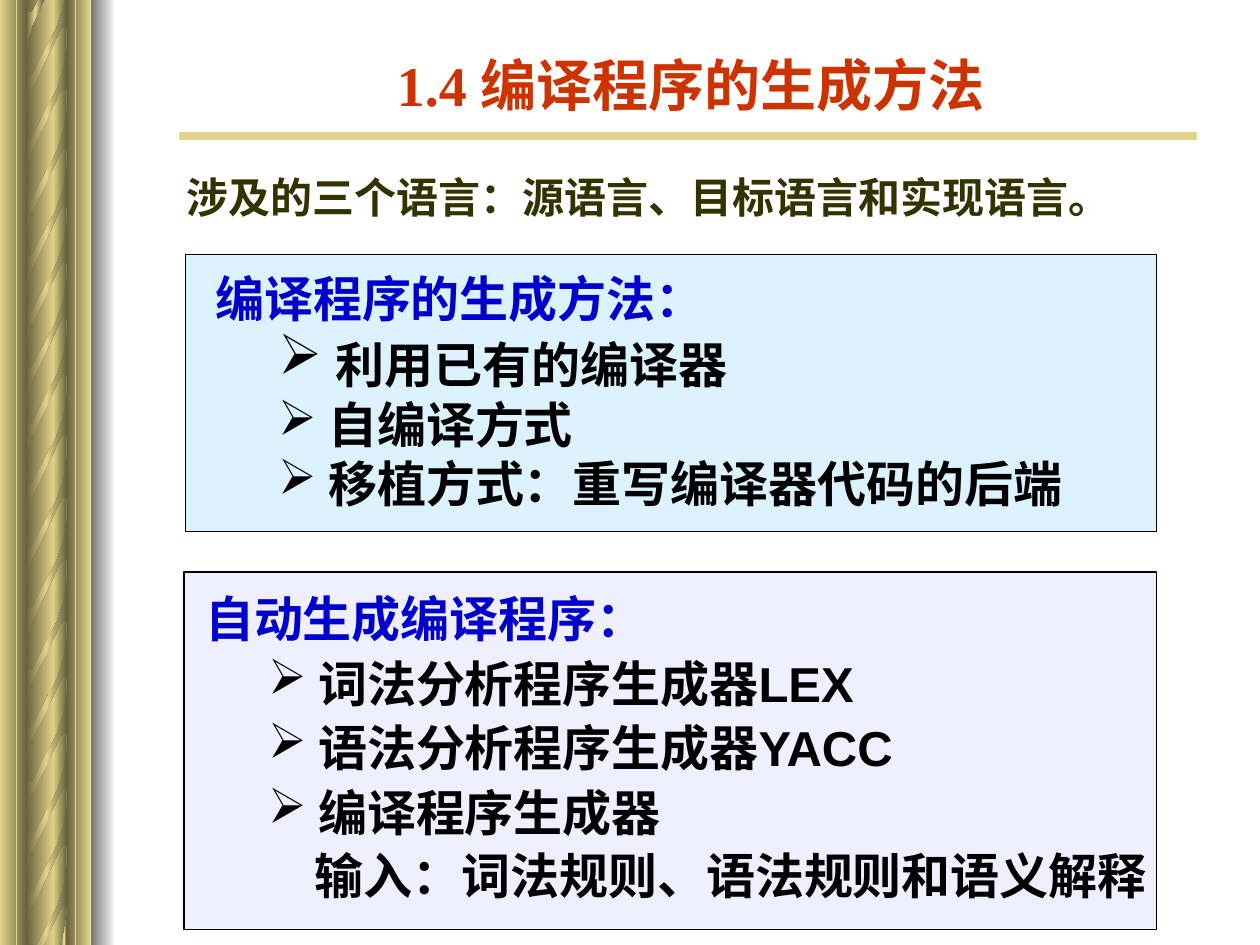
from dataclasses import dataclass
from typing import NamedTuple

from lxml import etree
from pptx import Presentation
from pptx import util as u
from pptx.dml.color import RGBColor
from pptx.enum import lang, shapes, text
from pptx.oxml.ns import qn


@dataclass(frozen=True)
class Theme:
    gold: str = "E5D58A"
    bronze: str = "69623F"
    white: str = "FFFFFF"
    grey: str = "757575"
    red: str = "CC3300"
    olive: str = "333300"
    blue: str = "0000CC"
    black: str = "000000"
    sky: str = "DDF2FF"
    lilac: str = "EFEFFF"
    title_size: float = 32
    body_size: float = 28
    intro_size: float = 24
    title_font: str = "Times New Roman"
    body_font: str = "Arial"


class Area(NamedTuple):
    """Left, top, width and height in grid columns and rows."""
    left: float
    top: float
    width: float
    height: float


class Span(NamedTuple):
    words: str
    size: float
    color: str
    font: str = "Arial"


class Line(NamedTuple):
    spans: list
    bullet: bool = False
    spacing: float = 1.0


class Panel(NamedTuple):
    frame: Area
    fill: str
    text_area: Area
    lines: list


THEME = Theme()
COLUMNS, ROWS = 1000, 750

deck = Presentation()
deck.slide_width, deck.slide_height = u.Inches(10), u.Inches(7.5)
page = deck.slides.add_slide(deck.slide_layouts[5])


def col(count: float) -> int:
    return round(deck.slide_width * count / COLUMNS)


def row(count: float) -> int:
    return round(deck.slide_height * count / ROWS)


def place(area: Area) -> tuple:
    return col(area.left), row(area.top), col(area.width), row(area.height)


def paint_gradient(shape, colors: list) -> None:
    """Spread the colours evenly from right to left."""
    shape.shadow.inherit = False
    shape.line.fill.background()
    shape.fill.gradient()
    shape.fill.gradient_angle = 180
    stops = next(shape._element.iter(qn("a:gsLst")))
    for stop in list(stops):
        stops.remove(stop)
    for index, color in enumerate(colors):
        position = str(round(100000 * index / (len(colors) - 1)))
        stop = etree.SubElement(stops, qn("a:gs"), pos=position)
        etree.SubElement(stop, qn("a:srgbClr"), val=color)


def draw_strip(area: Area, colors: list) -> None:
    strip = page.shapes.add_shape(shapes.MSO_SHAPE.RECTANGLE, *place(area))
    paint_gradient(strip, colors)


def draw_rule(start: tuple, end: tuple, width: float) -> None:
    rule = page.shapes.add_connector(shapes.MSO_CONNECTOR.STRAIGHT, col(start[0]),
                                     row(start[1]), col(end[0]), row(end[1]))
    rule.line.color.rgb = RGBColor.from_string(THEME.gold)
    rule.line.width = u.Pt(width)
    etree.SubElement(rule._element.spPr, qn("a:effectLst"))


def clip(points: list, limit: float, side: int) -> list:
    """Keep the part of an outline below (side 1) or above (side -1) a row."""
    kept = []
    for (x1, y1), (x2, y2) in zip(points, points[1:] + points[:1]):
        inside, next_inside = side * (y1 - limit) >= 0, side * (y2 - limit) >= 0
        if inside:
            kept.append((x1, y1))
        if inside != next_inside:
            kept.append((x1 + (x2 - x1) * (limit - y1) / (y2 - y1), limit))
    return kept


# One turn of the column's rope, measured from its own top
TWIST = [(53, 9), (53, 33), (52, 32), (50, 32), (49, 33), (47, 36), (43, 45),
         (34, 63), (25, 82), (24, 87), (22, 93), (22, 101), (21, 112), (21, 63),
         (21, 68), (22, 70), (23, 71), (25, 71), (26, 70), (45, 33), (48, 24),
         (50, 19), (51, 14), (52, 7), (53, 0), (53, 20)]


def draw_twist(top: float) -> None:
    outline = [(x, top + y) for x, y in TWIST]
    outline = clip(clip(outline, 0, 1), ROWS, -1)
    points = [(col(x), row(y)) for x, y in outline]
    builder = page.shapes.build_freeform(*points[0], scale=1.0)
    builder.add_line_segments(points[1:], close=True)
    paint_gradient(builder.convert_to_shape(), [THEME.bronze, THEME.gold, THEME.bronze])


def write(frame, lines: list, align=text.PP_ALIGN.LEFT) -> None:
    frame.word_wrap = True
    frame.margin_left = frame.margin_right = u.Inches(0.1)
    frame.margin_top = frame.margin_bottom = u.Inches(0.05)
    for index, line in enumerate(lines):
        para = frame.add_paragraph() if index else frame.paragraphs[0]
        para.alignment = align
        para.line_spacing = line.spacing
        if line.bullet:
            para.level = 1
            props = para._p.get_or_add_pPr()
            props.set("marL", str(col(50)))
            props.set("indent", "0")
            color = etree.SubElement(props, qn("a:buClr"))
            etree.SubElement(color, qn("a:srgbClr"), val=THEME.black)
            etree.SubElement(props, qn("a:buChar"), char="➢")
        for span in line.spans:
            run = para.add_run()
            run.text = span.words
            run.font.size, run.font.bold = u.Pt(span.size), True
            run.font.name = span.font
            run.font.language_id = lang.MSO_LANGUAGE_ID.SIMPLIFIED_CHINESE
            run.font.color.rgb = RGBColor.from_string(span.color)


def add_text(area: Area, lines: list) -> None:
    write(page.shapes.add_textbox(*place(area)).text_frame, lines)


def draw_panel(panel: Panel) -> None:
    box = page.shapes.add_shape(shapes.MSO_SHAPE.RECTANGLE, *place(panel.frame))
    box.shadow.inherit = False
    box.fill.solid()
    box.fill.fore_color.rgb = RGBColor.from_string(panel.fill)
    box.line.color.rgb = RGBColor.from_string(THEME.black)
    box.line.width = u.Pt(0.75)
    add_text(panel.text_area, panel.lines)


def heading(words: str) -> Line:
    return Line([Span(words, THEME.body_size, THEME.blue)])


def item(words: str, spacing: float = 1.0, gap_size: float = THEME.body_size) -> Line:
    return Line([Span(" ", gap_size, THEME.black),
                 Span(words, THEME.body_size, THEME.black)], True, spacing)


# Ornamental column: lit strips, rope, shadow and highlights
TO_LIGHT, TO_DARK = [THEME.bronze, THEME.gold], [THEME.gold, THEME.bronze]
for left, width, colors in [(42, 11, TO_LIGHT), (0, 21, TO_LIGHT), (21, 22, TO_DARK),
                            (53, 19, TO_DARK), (72, 20, [THEME.white, THEME.grey])]:
    draw_strip(Area(left, 0, width, ROWS), colors)
for half_top in (0, 374):
    for step in (-11, 38, 87, 132, 176, 221, 265, 313):
        draw_twist(half_top + step)
for top in (-61, 726):
    draw_twist(top)
for x in (13, 60):
    draw_rule((x, 0), (x, ROWS), 1)

# Title and its rule
draw_rule((142, 108), (950, 108), 4.5)
title = page.shapes.title
title.left, title.top, title.width, title.height = place(Area(164, 33, 769, 67))
title.text_frame.auto_size = text.MSO_AUTO_SIZE.NONE
title.text_frame.vertical_anchor = text.MSO_ANCHOR.MIDDLE
write(title.text_frame, [Line([Span("1.4 编译程序的生成方法", THEME.title_size, THEME.red,
                                    THEME.title_font)])], text.PP_ALIGN.CENTER)

# Introduction and the two panels
add_text(Area(138, 131, 787, 50), [Line([Span(
    "涉及的三个语言：源语言、目标语言和实现语言。", THEME.intro_size, THEME.olive)])])
draw_panel(Panel(Area(147, 202, 771, 220), THEME.sky, Area(161, 208, 819, 204), [
    heading("编译程序的生成方法："), item("利用已有的编译器", gap_size=THEME.title_size),
    item("自编译方式"), item("移植方式：重写编译器代码的后端")]))
draw_panel(Panel(Area(146, 454, 772, 284), THEME.lilac, Area(153, 462, 709, 258), [
    heading("自动生成编译程序："), item("词法分析程序生成器LEX", 1.1),
    item("语法分析程序生成器YACC", 1.1), item("编译程序生成器", 1.1)]))
add_text(Area(240, 666, 693, 57), [Line([Span(
    "输入：词法规则、语法规则和语义解释", THEME.body_size, THEME.black)])])

deck.save("out.pptx")
